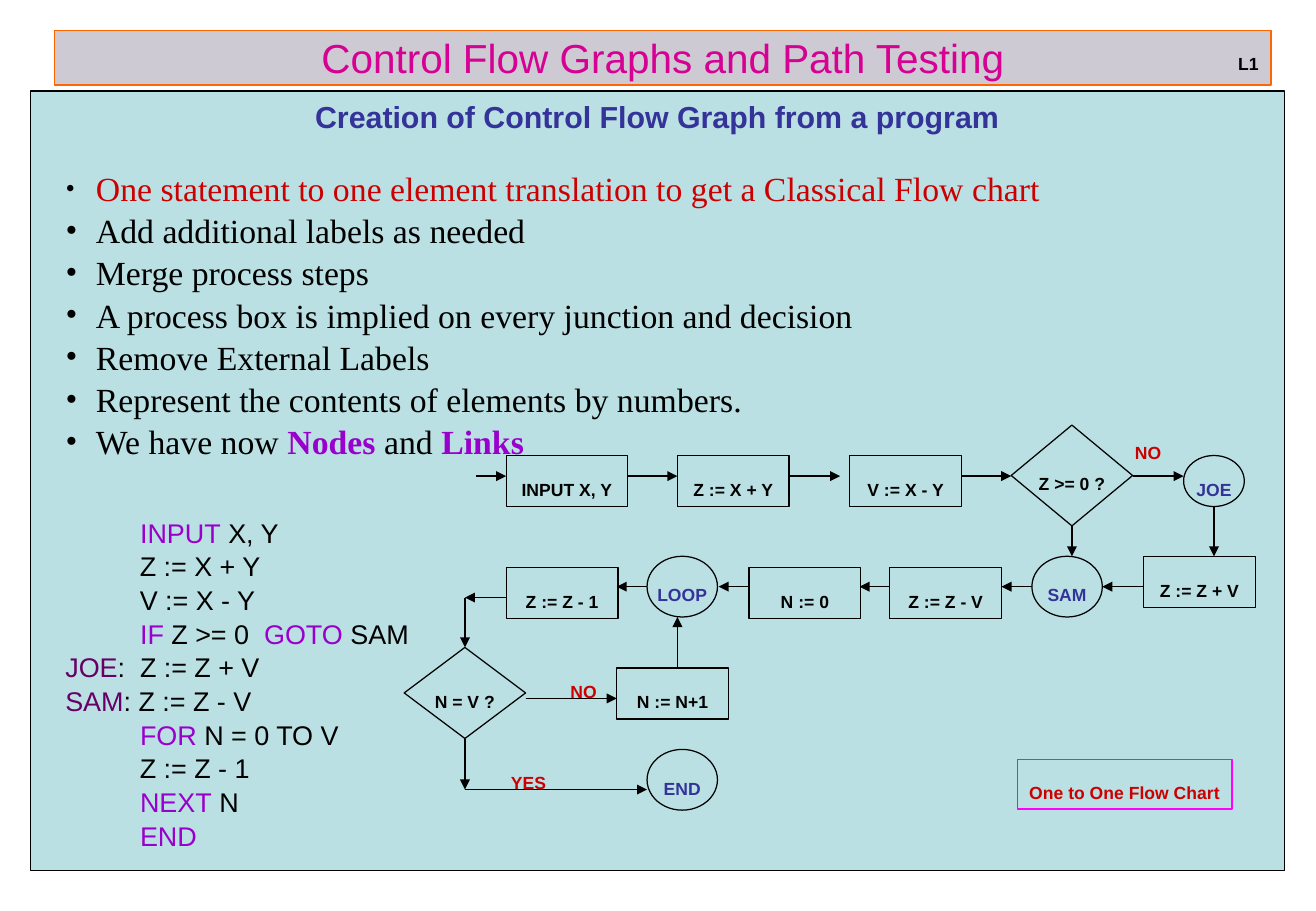
from dataclasses import dataclass

from lxml import etree
from pptx import Presentation, util as u
from pptx.dml.color import RGBColor
from pptx.enum import shapes, text
from pptx.oxml import ns


@dataclass(frozen=True)
class Theme:
    black: str = "000000"
    blue: str = "333399"
    red: str = "CC0000"
    pink: str = "D60093"
    violet: str = "9900CC"
    plum: str = "660066"
    panel: str = "BBE0E3"
    bar: str = "CECAD4"
    orange: str = "FF6600"
    frame: str = "FF00FF"
    sans: str = "Arial"
    serif: str = "Times New Roman"
    title: int = 24
    list: int = 20
    head: int = 18
    code: int = 16
    line: float = 0.75
    pitch: float = 1.04


T = Theme()
KIND = shapes.MSO_SHAPE
ALIGN = text.PP_ALIGN

STEPS = [
    [("One statement to one element translation to get a Classical Flow chart", T.red)],
    [("Add additional labels as needed",)],
    [("Merge process steps",)],
    [("A process box is implied on every junction and decision",)],
    [("Remove External Labels",)],
    [("Represent the contents of elements by numbers.",)],
    [("We have now ",), ("Nodes", T.violet, True), (" and ",), ("Links", T.violet, True)],
]

TAB = " " * 10
CODE = [
    [(TAB,), ("INPUT", T.violet), (" X, Y",)],
    [(TAB + "Z := X + Y",)],
    [(TAB + "V := X - Y",)],
    [(TAB,), ("IF", T.violet), (" Z >= 0  ",), ("GOTO", T.violet), (" SAM",)],
    [("JOE", T.plum), (":  Z := Z + V",)],
    [("SAM", T.plum), (": Z := Z - V",)],
    [(TAB,), ("FOR", T.violet), (" N = 0 TO V",)],
    [(TAB + "Z := Z - 1",)],
    [(TAB,), ("NEXT", T.violet), (" N",)],
    [(TAB,), ("END", T.violet)],
]

# Flow chart: label, left, top, and width and height where they vary
BOXES = [
    ("INPUT X, Y", 4.17, 3.75, 1), ("Z := X + Y", 5.58, 3.75),
    ("V := X - Y", 7, 3.75), ("Z := Z + V", 9.42, 4.58),
    ("Z := Z - V", 7.33, 4.67), ("N := 0", 6.17, 4.67),
    ("Z := Z - 1", 4.17, 4.67), ("N := N+1", 5.08, 5.5),
]
TESTS = [("Z >= 0 ?", 8.33, 3.5, 1, 0.83), ("N = V ?", 3.33, 5.33, 1, 0.75)]
JOINS = [
    ("JOE", 9.75, 3.75, 0.5, 0.42), ("SAM", 8.5, 4.58),
    ("LOOP", 5.33, 4.58), ("END", 5.33, 6.17),
]
ARROWS = [
    # Top row, then down
    (3.92, 3.92, 4.17, 3.92), (5.17, 3.92, 5.58, 3.92), (6.5, 3.92, 6.92, 3.92),
    (7.92, 3.92, 8.33, 3.92), (9.33, 3.92, 9.75, 3.92),
    (8.83, 4.33, 8.83, 4.58), (10, 4.17, 10, 4.58),
    # Middle row, right to left
    (9.42, 4.83, 9.08, 4.83), (8.5, 4.83, 8.25, 4.83), (7.33, 4.83, 7.08, 4.83),
    (6.17, 4.83, 5.92, 4.83), (5.33, 4.83, 5.08, 4.83), (4.17, 4.92, 3.83, 4.92),
    # Loop and exit
    (3.83, 4.92, 3.83, 5.33), (4.33, 5.75, 5.08, 5.75), (5.58, 5.5, 5.58, 5.08),
    (3.83, 6.08, 3.83, 6.5), (3.83, 6.5, 5.33, 6.5),
]
NOTES = [("L1", 10.1, 0.25, T.black), ("NO", 9.25, 3.45, T.red),
         ("NO", 4.6, 5.42, T.red), ("YES", 4.11, 6.17, T.red)]


def apply(item, **form):
    for name, value in form.items():
        setattr(item, name, value)


def place(item, left, top, width, height):
    apply(item, left=u.Inches(left), top=u.Inches(top),
          width=u.Inches(width), height=u.Inches(height))


def paint(item, line, fill=None):
    if fill:
        item.fill.solid()
        item.fill.fore_color.rgb = RGBColor.from_string(fill)
    else:
        item.fill.background()
    item.line.color.rgb = RGBColor.from_string(line)
    item.line.width = u.Pt(T.line)


def frame(item, wrap=True, anchor=text.MSO_ANCHOR.TOP):
    body = item.text_frame
    apply(body, word_wrap=wrap, auto_size=text.MSO_AUTO_SIZE.NONE,
          vertical_anchor=anchor)
    return body


def write(para, words, size, face, color=T.black, bold=False):
    run = para.add_run()
    run.text = words
    apply(run.font, name=face, size=u.Pt(size), bold=bold)
    run.font.color.rgb = RGBColor.from_string(color)
    return run


def fill_rows(body, rows, size, face):
    for i, row in enumerate(rows):
        para = body.paragraphs[0] if i == 0 else body.add_paragraph()
        apply(para, line_spacing=T.pitch, space_before=u.Pt(0), space_after=u.Pt(0))
        for part in row:
            write(para, part[0], size, face, *part[1:])


def tag(item, words, color, align=ALIGN.LEFT, anchor=text.MSO_ANCHOR.TOP):
    """Write a small lowered label."""
    para = frame(item, False, anchor).paragraphs[0]
    para.alignment = align
    run = write(para, words, T.head, T.sans, color, True)
    run.font._element.set("baseline", "-12000")


def node(slide, kind, color, words, left, top, width=0.92, height=0.42):
    item = slide.shapes.add_shape(kind, *map(u.Inches, (left, top, width, height)))
    item.shadow.inherit = False
    paint(item, T.black, T.panel)
    tag(item, words, color, ALIGN.CENTER, text.MSO_ANCHOR.MIDDLE)


def arrow(slide, ends):
    item = slide.shapes.add_connector(shapes.MSO_CONNECTOR.STRAIGHT, *map(u.Inches, ends))
    item.line.color.rgb = RGBColor.from_string(T.black)
    item.line.width = u.Pt(T.line)
    etree.SubElement(item.line._get_or_add_ln(), ns.qn("a:tailEnd"), type="triangle")
    etree.SubElement(item._element.spPr, ns.qn("a:effectLst"))


def text_box(slide, left, top, width, height):
    return slide.shapes.add_textbox(*map(u.Inches, (left, top, width, height)))


def bullet(para, scale):
    props = para._p.get_or_add_pPr()
    props.set("marL", str(u.Inches(0.44)))
    props.set("indent", str(u.Inches(-0.25)))
    tint = etree.SubElement(props, ns.qn("a:buClr"))
    etree.SubElement(tint, ns.qn("a:srgbClr"), val=T.black)
    etree.SubElement(props, ns.qn("a:buSzPct"), val=str(scale * 1000))
    etree.SubElement(props, ns.qn("a:buFont"), typeface=T.serif)
    etree.SubElement(props, ns.qn("a:buChar"), char="•")


def add_title(slide):
    item = slide.shapes.title
    place(item, 0.45, 0.25, 10.02, 0.45)
    paint(item, T.orange, T.bar)
    para = frame(item, anchor=text.MSO_ANCHOR.MIDDLE).paragraphs[0]
    para.alignment = ALIGN.CENTER
    write(para, "Control Flow Graphs and Path Testing", T.title, T.sans, T.pink)


def add_list(slide):
    item = slide.placeholders[1]
    place(item, 0.25, 0.75, 10.33, 6.42)
    paint(item, T.black, T.panel)
    body = frame(item)
    apply(body, margin_left=u.Inches(0.1), margin_top=u.Inches(0.62))
    fill_rows(body, STEPS, T.list, T.serif)
    for i, para in enumerate(body.paragraphs):
        bullet(para, 100 if i else 80)


def main():
    deck = Presentation()
    apply(deck, slide_width=u.Inches(10.84), slide_height=u.Inches(7.5))
    slide = deck.slides.add_slide(deck.slide_layouts[1])

    # Title, list, heading and code
    add_title(slide)
    add_list(slide)
    head = frame(text_box(slide, 0.25, 0.75, 10.33, 0.4))
    fill_rows(head, [[("Creation of Control Flow Graph from a program", T.blue, True)]],
              T.head, T.sans)
    head.paragraphs[0].alignment = ALIGN.CENTER
    fill_rows(frame(text_box(slide, 0.44, 4.19, 3.2, 2.77), False), CODE, T.code, T.sans)

    # Flow chart
    for ends in ARROWS:
        arrow(slide, ends)
    for box in BOXES:
        node(slide, KIND.RECTANGLE, T.black, *box)
    for test in TESTS:
        node(slide, KIND.DIAMOND, T.black, *test)
    for words, left, top, *size in JOINS:
        node(slide, KIND.OVAL, T.blue, words, left, top, *(size or (0.58, 0.5)))

    # Labels and caption
    for words, left, top, color in NOTES:
        tag(text_box(slide, left, top, 0.41, 0.41), words, color)
    sign = text_box(slide, 8.38, 6.25, 1.77, 0.41)
    paint(sign, T.frame)
    tag(sign, "One to One Flow Chart", T.red)

    deck.save("out.pptx")


if __name__ == "__main__":
    main()
